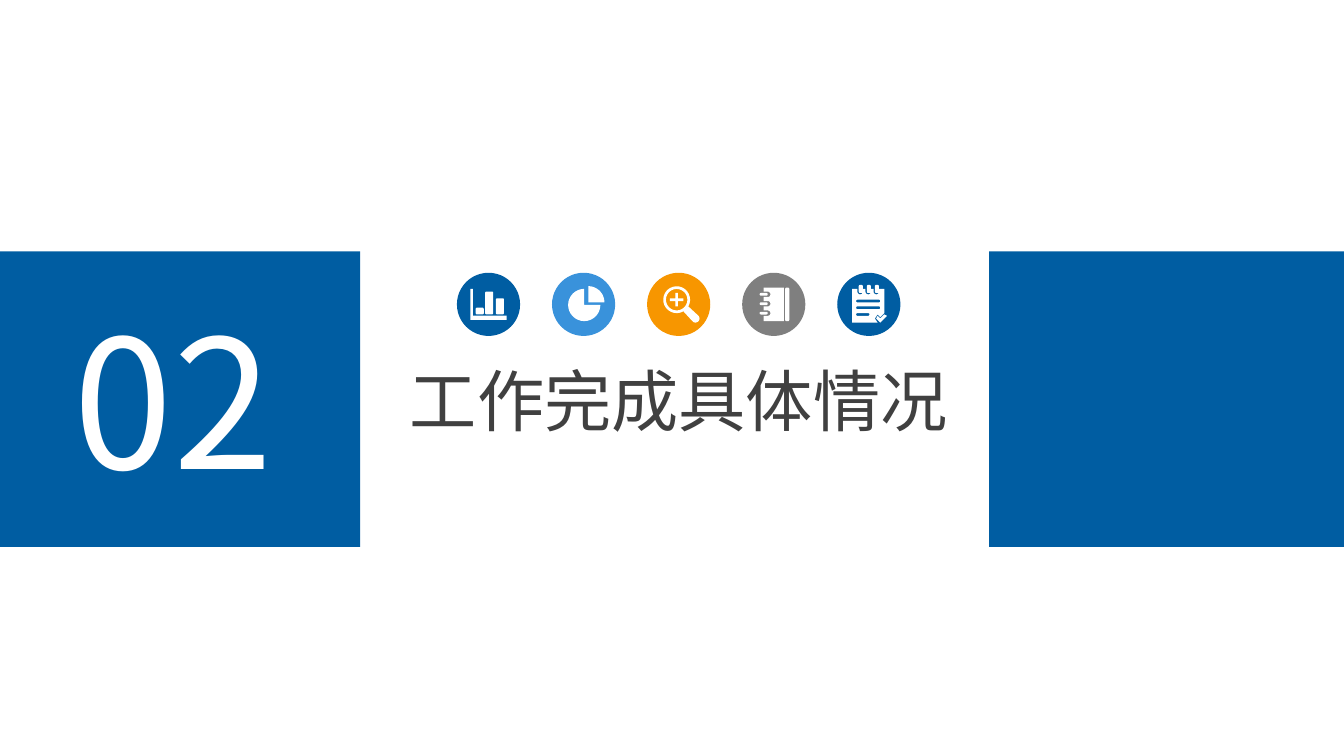
import math

from pptx import Presentation
from pptx import util as u
from pptx.dml.color import RGBColor
from pptx.enum import shapes, text

M = shapes.MSO_SHAPE
THEME = dict(font="Noto Sans CJK SC", blue="005DA2", sky="3992DB", orange="F79600",
             gray="7F7F7F", ink="404040", white="FFFFFF", number=96, title=36)
NUMBER = "02"
TITLE = "工作完成具体情况"
BAND_LEFTS = (0, 7.36)
BAND_TOP, BAND_W, BAND_H = 1.87, 2.68, 2.2
DISC_LEFT, DISC_LAST, DISC_TOP, DISC = 3.4, 6.23, 2.03, 0.47


def arc(cx, cy, radius, start, end, steps=24):
    angles = [math.radians(start + (end - start) * i / steps) for i in range(steps + 1)]
    return [(cx + radius * math.cos(a), cy + radius * math.sin(a)) for a in angles]


def rounded(x, y, w, h, radius=0.01):
    corners = [(x + w - radius, y + h - radius), (x + radius, y + h - radius),
               (x + radius, y + radius), (x + w - radius, y + radius)]
    return [pt for i, (cx, cy) in enumerate(corners)
            for pt in arc(cx, cy, radius, 90 * i, 90 * i + 90, 6)]


def cross(cx, cy, reach, half):
    quarter = [(reach, -half), (reach, half), (half, half)]
    points = []
    for _ in range(4):
        points += [(cx + x, cy + y) for x, y in quarter]
        quarter = [(-y, x) for x, y in quarter]
    return points


HOLES = (0.3, 0.23, 0.16)
RINGS = (0.17, 0.23, 0.29)
bars_icon = [
    [(0.1, 0.12), (0.12, 0.12), (0.12, 0.32), (0.37, 0.32), (0.37, 0.35), (0.1, 0.35)],
    *[rounded(x, top, 0.06, 0.31 - top)
      for x, top in ((0.14, 0.26), (0.21, 0.14), (0.29, 0.19))],
]
pie_icon = [
    [(0.24, 0.24), *arc(0.24, 0.24, 0.12, 0, 270)],
    [(0.27, 0.22), *arc(0.27, 0.22, 0.12, 270, 360)],
]
search_icon = [
    [*arc(0.22, 0.2, 0.1, 60, 390), *arc(0.36, 0.34, 0.03, -45, 135)],
    arc(0.22, 0.2, 0.08, 0, 360),
    cross(0.22, 0.2, 0.05, 0.01),
]
notebook_icon = [
    [(0.16, 0.11), (0.31, 0.11), (0.31, 0.36), (0.16, 0.36),
     *[pt for y in HOLES
       for pt in [(0.16, y + 0.02), *arc(0.19, y, 0.02, 90, -90), (0.16, y - 0.02)]]],
    rounded(0.32, 0.11, 0.03, 0.25),
    *[rounded(0.13, y - 0.01, 0.06, 0.02) for y in HOLES],
]
checklist_icon = [
    [(0.11, 0.12),
     *[pt for x in RINGS
       for pt in [(x - 0.02, 0.12), *arc(x, 0.14, 0.02, 180, 0), (x + 0.02, 0.12)]],
     (0.35, 0.12), (0.35, 0.3), (0.32, 0.33), (0.3, 0.31), (0.28, 0.34), (0.3, 0.37),
     (0.11, 0.37)],
    *[rounded(0.14, y, w, 0.02) for y, w in ((0.2, 0.18), (0.25, 0.18), (0.3, 0.1))],
    *[rounded(x - 0.01, 0.09, 0.03, 0.06) for x in RINGS],
    [(0.29, 0.34), (0.3, 0.32), (0.32, 0.34), (0.35, 0.31), (0.37, 0.32), (0.32, 0.37)],
]
ICONS = [("blue", bars_icon), ("sky", pie_icon), ("orange", search_icon),
         ("gray", notebook_icon), ("blue", checklist_icon)]


def rgb(name):
    return RGBColor.from_string(THEME[name])


def paint(sp, color):
    sp.shadow.inherit = False
    sp.fill.solid()
    sp.fill.fore_color.rgb = rgb(color)
    sp.line.fill.background()


def preset(target, kind, box, color):
    paint(target.add_shape(kind, *map(u.Inches, box)), color)


def glyph(target, contours, left, top):
    pen = None
    for contour in contours:
        pts = [(u.Inches(left + x), u.Inches(top + y)) for x, y in contour]
        if pen is None:
            pen = target.build_freeform(*pts[0])
        else:
            pen.move_to(*pts[0])
        pen.add_line_segments(pts[1:], close=True)
    paint(pen.convert_to_shape(), "white")


def write(sp, words, *, box, size, color):
    sp.left, sp.top, sp.width, sp.height = map(u.Inches, box)
    tf = sp.text_frame
    tf.word_wrap = False
    tf.auto_size = text.MSO_AUTO_SIZE.NONE
    tf.vertical_anchor = text.MSO_ANCHOR.TOP
    p = tf.paragraphs[0]
    p.alignment = text.PP_ALIGN.LEFT
    r = p.add_run()
    r.text = words
    r.font.name = THEME["font"]
    r.font.size = u.Pt(THEME[size])
    r.font.color.rgb = rgb(color)
    ea = r.font._element.makeelement(
        "{http://schemas.openxmlformats.org/drawingml/2006/main}ea", {"typeface": THEME["font"]})
    r.font._element.append(ea)


prs = Presentation()
prs.slide_width = u.Inches(10)
prs.slide_height = prs.slide_width * 9 // 16
s = prs.slides.add_slide(prs.slide_layouts[5])
for left in BAND_LEFTS:
    preset(s.shapes, M.RECTANGLE, (left, BAND_TOP, BAND_W, BAND_H), "blue")
write(s.shapes.add_textbox(0, 0, 0, 0), NUMBER,
      box=(0.45, 2.11, 1.78, 1.72), size="number", color="white")
write(s.shapes.title, TITLE, box=(2.95, 2.62, 4.24, 0.71), size="title", color="ink")
pitch = (DISC_LAST - DISC_LEFT) / (len(ICONS) - 1)
for i, (color, contours) in enumerate(ICONS):
    left = DISC_LEFT + i * pitch
    icon = s.shapes.add_group_shape().shapes
    preset(icon, M.OVAL, (left, DISC_TOP, DISC, DISC), color)
    glyph(icon, contours, left, DISC_TOP)
prs.save("out.pptx")
